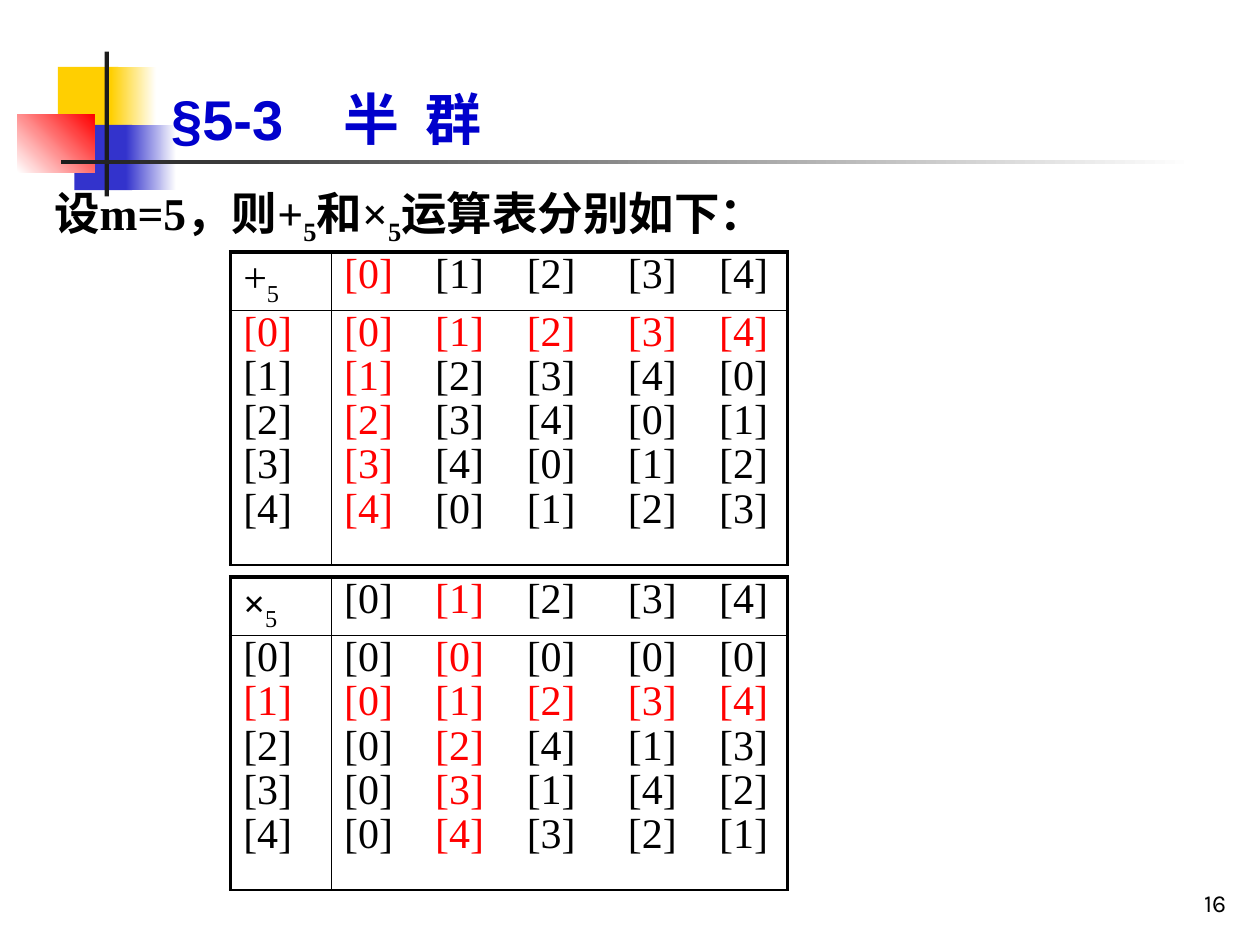
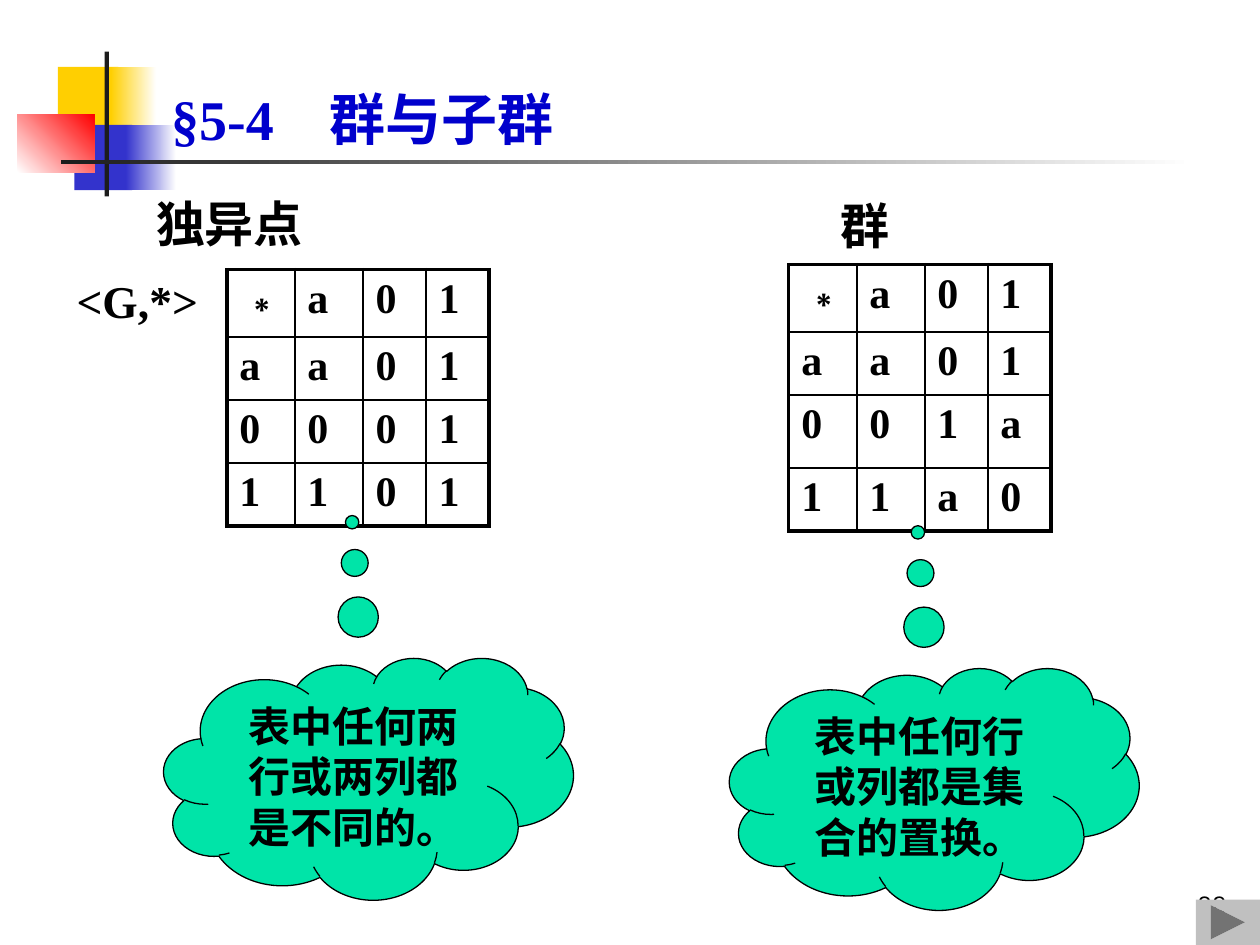
import pptx
import pptx.dml.color
import pptx.enum.shapes
import pptx.enum.text
import pptx.oxml.ns
import pptx.util
from lxml import etree

Pt = pptx.util.Pt
SHAPE = pptx.enum.shapes.MSO_SHAPE
ALIGN = pptx.enum.text.PP_ALIGN
ANCHOR = pptx.enum.text.MSO_ANCHOR
qn = pptx.oxml.ns.qn

BLACK, WHITE, RED = "000000", "FFFFFF", "FF0000"
YELLOW, BLUE, DARK = "FFCF01", "3333CC", "1C1C1C"
TITLE_BLUE, MINT, GREY = "0000CC", "00E4A8", "C0C0C0"
SERIF, SANS, NUMBER_FONT = "Times New Roman", "Arial", "Karla"
THICK, THIN = 2.25, 1


def rgb(color):
    return pptx.dml.color.RGBColor.from_string(color)


# ---------- text ----------
def add_run(p, text, size, color=BLACK, bold=False, font=SERIF, sub=False):
    r = p.add_run()
    r.text = text
    r.font.size, r.font.bold, r.font.name = Pt(size), bold, font
    r.font.color.rgb = rgb(color)
    if sub:
        r._r.get_or_add_rPr().set("baseline", "-25000")


def set_tabs(p, stops):
    tabs = etree.SubElement(p._p.get_or_add_pPr(), qn("a:tabLst"))
    for stop in stops:
        etree.SubElement(tabs, qn("a:tab"), pos=str(Pt(stop)), algn="l")


def add_textbox(s, box, anchor=ANCHOR.TOP):
    tf = s.shapes.add_textbox(*map(Pt, box)).text_frame
    tf.word_wrap = True
    tf.vertical_anchor = anchor
    return tf.paragraphs[0]


# ---------- shapes ----------
def add_shape(s, kind, box, fill, fade_to=None, angle=0, line=None):
    sp = s.shapes.add_shape(kind, *map(Pt, box))
    sp.shadow.inherit = False
    if fade_to:
        sp.fill.gradient()
        sp.fill.gradient_angle = angle
        for stop, color in zip(sp.fill.gradient_stops, (fill, fade_to)):
            stop.color.rgb = rgb(color)
        for stop, position in zip(sp.fill.gradient_stops, (0, 1)):
            stop.position = position
    else:
        sp.fill.solid()
        sp.fill.fore_color.rgb = rgb(fill)
    if line:
        sp.line.color.rgb = rgb(line)
        sp.line.width = Pt(0.75)
    else:
        sp.line.fill.background()
    return sp


# ---------- tables ----------
def set_border(cell, side, width):
    ln = etree.SubElement(cell._tc.get_or_add_tcPr(), qn("a:ln" + side), w=str(Pt(width)))
    fill = etree.SubElement(ln, qn("a:solidFill"))
    etree.SubElement(fill, qn("a:srgbClr"), val=BLACK)


def add_grid(s, x, y, cols, rows, bottom=THICK):
    """Unfilled table with a thick frame and thin inner lines."""
    frame = s.shapes.add_table(len(rows), len(cols), Pt(x), Pt(y), Pt(sum(cols)), Pt(sum(rows)))
    table = frame.table
    table.first_row = table.horz_banding = False
    for col, width in zip(table.columns, cols):
        col.width = Pt(width)
    for row, height in zip(table.rows, rows):
        row.height = Pt(height)
    last_row, last_col = len(rows) - 1, len(cols) - 1
    for i in range(len(rows)):
        for j in range(len(cols)):
            cell = table.cell(i, j)
            set_border(cell, "L", THICK if j == 0 else THIN)
            set_border(cell, "R", THICK if j == last_col else THIN)
            set_border(cell, "T", THICK if i == 0 else THIN)
            set_border(cell, "B", bottom if i == last_row else THIN)
            cell.fill.background()
    return table


# ---------- shared frame of both slides ----------
def add_frame(prs, title, title_font, title_tabs, number):
    s = prs.slides.add_slide(prs.slide_layouts[6])
    rect = SHAPE.RECTANGLE
    # coloured squares
    add_shape(s, rect, (33.1, 38.2, 34.6, 37.4), YELLOW)
    add_shape(s, rect, (63.4, 38.2, 25.9, 37.4), YELLOW, WHITE)
    add_shape(s, rect, (42.5, 71.3, 33.1, 37.4), BLUE)
    add_shape(s, rect, (72, 71.3, 28.8, 37.4), BLUE, WHITE)
    add_shape(s, rect, (10, 65.5, 44, 33.1), WHITE, RED, angle=45)
    # crossing bars
    add_shape(s, rect, (59.8, 29.5, 2.5, 82.8), DARK)
    add_shape(s, rect, (34.6, 91.4, 648, 2.5), DARK, WHITE)
    # slide number
    p = add_textbox(s, (558, 491.8, 149.8, 36), ANCHOR.BOTTOM)
    p.alignment = ALIGN.RIGHT
    add_run(p, number, 14, font=NUMBER_FONT)
    # title
    p = add_textbox(s, (90.7, 0, 613.4, 90), ANCHOR.BOTTOM)
    set_tabs(p, title_tabs)
    add_run(p, title, 32, TITLE_BLUE, True, title_font)
    return s


# ---------- slide 1: operation tables modulo 5 ----------
def add_operation_table(s, x, y, symbol, symbol_size, symbol_bold, operation, identity):
    m, size = 5, 24
    table = add_grid(s, x, y, (57.6, 260.6), (30.2, 145.4), bottom=THIN)

    def next_line(tf, first):
        p = tf.paragraphs[0] if first else tf.add_paragraph()
        p.line_spacing, p.space_before = 0.8, Pt(4)
        return p

    def add_classes(tf, values, row):
        p = next_line(tf, row in (None, 0))
        set_tabs(p, (52.1, 104.4, 162.2, 214.3))
        for col, value in enumerate(values):
            color = RED if identity in (row, col) else BLACK
            add_run(p, ("\t" if col else "") + f"[{value}]", size, color)

    # header row
    p = next_line(table.cell(0, 0).text_frame, True)
    add_run(p, symbol, symbol_size, bold=symbol_bold)
    add_run(p, str(m), size, sub=True)
    add_classes(table.cell(0, 1).text_frame, range(m), None)
    # row labels and results
    labels, results = (table.cell(1, j).text_frame for j in (0, 1))
    for a in range(m):
        add_run(next_line(labels, a == 0), f"[{a}]", size, RED if a == identity else BLACK)
        add_classes(results, [operation(a, b) % m for b in range(m)], a)


def build_semigroup_slide(prs):
    s = add_frame(prs, "§5-3\t半\t群", SANS, (98.3, 145.2), "16")
    p = add_textbox(s, (23.8, 102.2, 642.2, 39.6))
    for text, sub in (("设m=5，则+", False), ("5", True), ("和×", False),
                      ("5", True), ("运算表分别如下：", False)):
        add_run(p, text, 26, bold=True, sub=sub)
    add_operation_table(s, 131.8, 144, "+", 24, False, lambda a, b: a + b, 0)
    add_operation_table(s, 131.8, 329.8, "×", 22, True, lambda a, b: a * b, 1)


# ---------- slide 2: monoid and group ----------
def add_label(s, box, text, size):
    p = add_textbox(s, box)
    p.line_spacing = 1.2
    add_run(p, text, size, bold=True)


def add_structure(s, x, y, rows, products, cloud_at, remark, heading_at, heading_width, heading):
    """Product table at x, y with its heading and thought cloud offset from it."""
    table = add_grid(s, x, y, (38.9, 38.9, 36, 36), rows)
    for i, line in enumerate(products):
        for j, symbol in enumerate(line):
            p = table.cell(i, j).text_frame.paragraphs[0]
            add_run(p, symbol, 26 if symbol == "∗" else 24, bold=True)
    # thought cloud
    sp = add_shape(s, SHAPE.CLOUD_CALLOUT, (x + cloud_at[0], y + cloud_at[1], 234, 138.2),
                   MINT, line=BLACK)
    sp.adjustments[0], sp.adjustments[1] = -0.04, -1.06
    tf = sp.text_frame
    tf.word_wrap = True
    tf.vertical_anchor = ANCHOR.TOP
    p = tf.paragraphs[0]
    p.alignment = ALIGN.CENTER
    add_run(p, remark, 24, bold=True)
    # heading
    add_label(s, (x + heading_at[0], y + heading_at[1], heading_width, 47.5), heading, 28)


def build_group_slide(prs):
    s = add_frame(prs, "§5-4\t群与子群", SERIF, (90.3,), "32")
    add_structure(s, 450.7, 151.2, (38.2, 36, 41.8, 36), ("∗a01", "aa01", "001a", "11a0"),
                  (-33.8, 230.4), "表中任何行或列都是集合的置换。", (22.3, -49.7), 85, "群")
    add_structure(s, 129.6, 154.1, (38.2, 36, 36, 36), ("∗a01", "aa01", "0001", "1101"),
                  (-36, 221.7), "表中任何两行或两列都是不同的。", (-47.5, -54), 147.6, "独异点")
    add_label(s, (36.7, 146.2, 96.5, 44.6), "<G,*>", 26)
    add_shape(s, SHAPE.ACTION_BUTTON_FORWARD_OR_NEXT, (683.3, 514, 36.7, 26), GREY)


def main():
    prs = pptx.Presentation()
    prs.slide_width, prs.slide_height = Pt(720), Pt(540)
    build_semigroup_slide(prs)
    build_group_slide(prs)
    prs.save("out.pptx")


if __name__ == "__main__":
    main()
